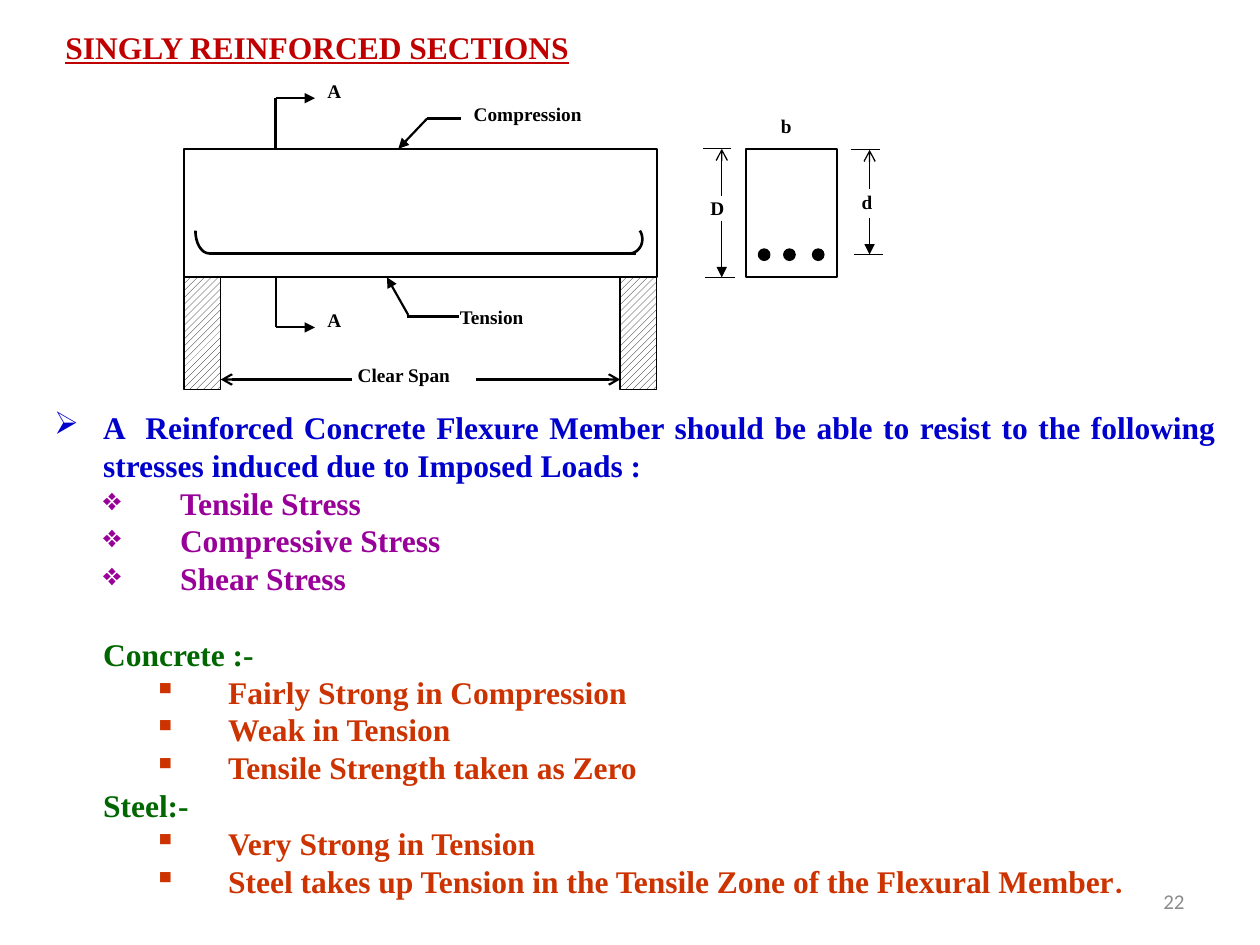
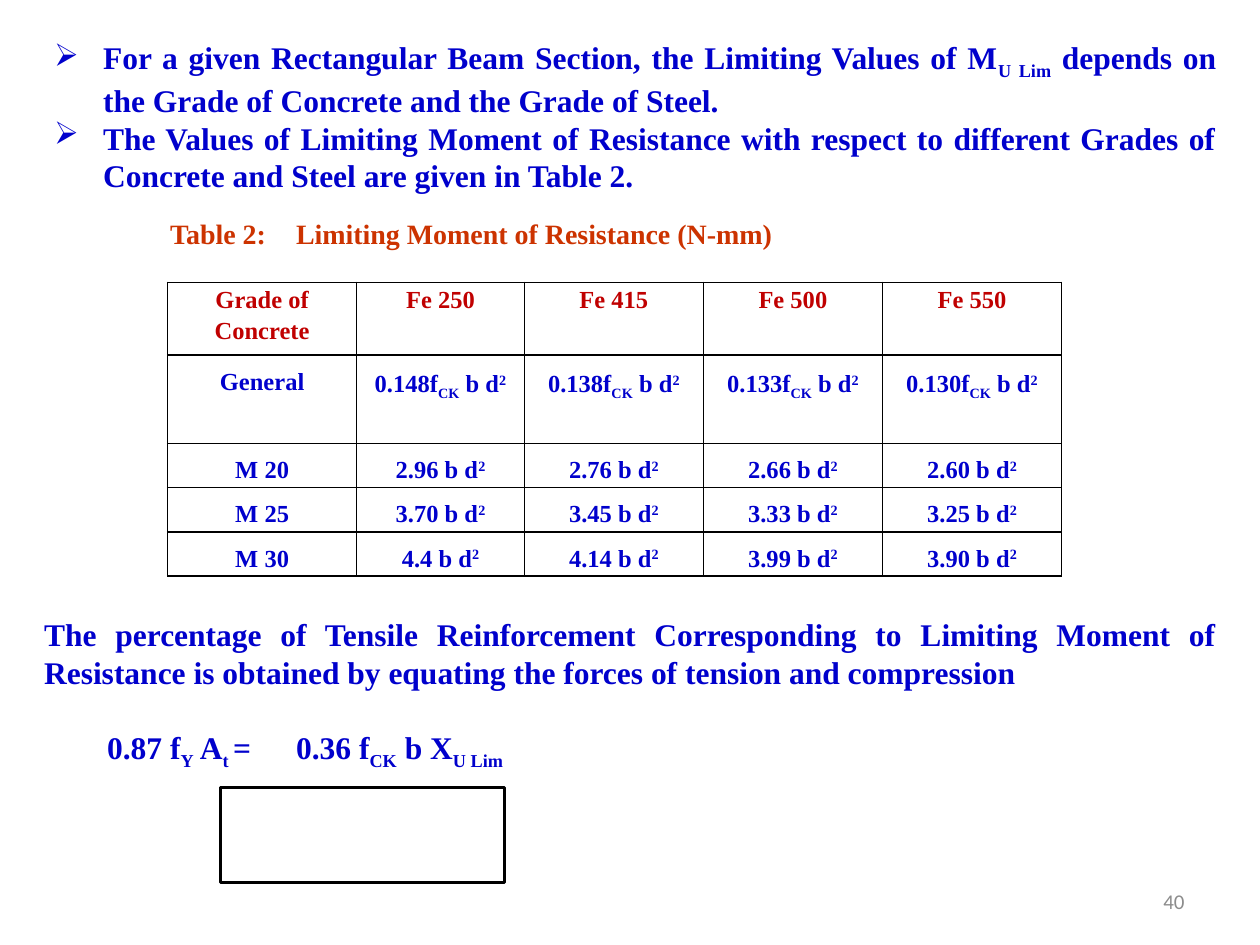
import pptx
import pptx.dml.color
import pptx.enum.dml
import pptx.enum.shapes
import pptx.enum.text
import pptx.oxml.ns
import pptx.util
from lxml import etree

Cm = pptx.util.Cm
Pt = pptx.util.Pt
qn = pptx.oxml.ns.qn
ink = pptx.dml.color.RGBColor.from_string
Align = pptx.enum.text.PP_ALIGN
Anchor = pptx.enum.text.MSO_ANCHOR
Shape = pptx.enum.shapes.MSO_SHAPE
SERIF = "Times New Roman"
BLACK, WHITE, GREY = "000000", "FFFFFF", "8C8C8C"
BLUE, RED, PURPLE, GREEN, RUST = "0000CC", "C00000", "990099", "006600", "CC3300"
BASELINES = {"_": "-25000", "^": "30000"}
BLANK_LINE = 21.6


def write(frame, text, size=18, color=BLUE, bold=True, underline=False, font=SERIF,
          align=Align.JUSTIFY, left=0, first=0, bullet=None, line=None,
          before=None, after=None, tabs=()):
    paragraph = frame.paragraphs[0]
    if paragraph.runs:
        paragraph = frame.add_paragraph()
    paragraph.alignment = align
    paragraph.line_spacing = line
    if before:
        paragraph.space_before = Pt(before)
    if after:
        paragraph.space_after = Pt(after)
    layout = paragraph._p.get_or_add_pPr()
    layout.set("marL", str(Cm(left)))
    layout.set("indent", str(Cm(first)))
    if bullet:
        tint = etree.SubElement(layout, qn("a:buClr"))
        etree.SubElement(tint, qn("a:srgbClr"), val=color)
        etree.SubElement(layout, qn("a:buChar"), char=bullet)
    if tabs:
        stops = etree.SubElement(layout, qn("a:tabLst"))
        for stop in tabs:
            etree.SubElement(stops, qn("a:tab"), pos=str(Cm(stop)), algn="l")
    for piece in text.split("|"):
        run = paragraph.add_run()
        run.text = piece.lstrip("_^")
        run.font.name, run.font.size = font, Pt(size)
        run.font.bold, run.font.underline = bold, underline
        run.font.color.rgb = ink(color)
        if piece[0] in BASELINES:
            run._r.get_or_add_rPr().set("baseline", BASELINES[piece[0]])
    return paragraph


def text_area(slide, x, y, width, height, anchor=Anchor.TOP):
    frame = slide.shapes.add_textbox(Cm(x), Cm(y), Cm(width), Cm(height)).text_frame
    frame.word_wrap = True
    frame.vertical_anchor = anchor
    return frame


deck = pptx.Presentation()
deck.slide_width, deck.slide_height = Cm(25.4), Cm(19.05)
sections_slide, moment_slide = [deck.slides.add_slide(deck.slide_layouts[6]) for _ in range(2)]

heading = text_area(sections_slide, 1.07, 0.43, 11.43, 1.02, Anchor.MIDDLE)
write(heading, "SINGLY REINFORCED SECTIONS", color=RED, underline=True, align=Align.LEFT)

beam_left, beam_top, beam_bottom = 3.71, 3, 5.59
beam_depth = beam_bottom - beam_top
right_support, support_width = 12.5, 0.74
bar_level, bar_size = 5.11, 0.23

members = [
    (Shape.RECTANGLE, beam_left, beam_top, 9.53, beam_depth, WHITE, 1.25),
    (Shape.RECTANGLE, beam_left, beam_bottom, support_width, 2.26, None, 0.75),
    (Shape.RECTANGLE, right_support, beam_bottom, support_width, 2.26, None, 0.75),
    (Shape.RECTANGLE, 15.04, beam_top, 1.83, beam_depth, WHITE, 1.25),
]
members += [(Shape.OVAL, x, 5.02, bar_size, bar_size, BLACK, 0.75) for x in (15.29, 15.8, 16.38)]
for preset, x, y, width, height, fill, weight in members:
    member = sections_slide.shapes.add_shape(preset, Cm(x), Cm(y), Cm(width), Cm(height))
    member.shadow.inherit = False
    member.line.color.rgb = ink(BLACK)
    member.line.width = Pt(weight)
    if fill:
        member.fill.solid()
        member.fill.fore_color.rgb = ink(fill)
    else:
        member.fill.patterned()
        member.fill.pattern = pptx.enum.dml.MSO_PATTERN.WIDE_UPWARD_DIAGONAL
        member.fill.fore_color.rgb = ink(BLACK)
        member.fill.back_color.rgb = ink(WHITE)

cut, cut_top, cut_bottom, cut_end = 5.56, 1.98, 6.6, 6.35
span_level, depth_x, effective_x = 7.65, 14.55, 17.53
lines = [
    (cut, cut_top, cut, beam_top, 1.5, None),
    (cut, beam_bottom, cut, cut_bottom, 1.25, None),
    (cut, cut_top, cut_end, cut_top, 1.25, "triangle"),
    (cut, cut_bottom, cut_end, cut_bottom, 1.25, "triangle"),
    (4.22, bar_level, 12.83, bar_level, 1.5, None),
    (8.61, 2.39, 8.03, beam_top, 1.25, "triangle"),
    (8.61, 2.39, 9.3, 2.39, 1.25, None),
    (8.23, 6.35, 7.8, beam_bottom, 1.25, "triangle"),
    (8.2, 6.38, 9.25, 6.38, 1.25, None),
    (9.6, span_level, right_support, span_level, 1.25, "arrow"),
    (7.09, span_level, beam_left + support_width, span_level, 1.25, "arrow"),
    (14.17, beam_top, 14.73, beam_top, 0.75, None),
    (14.22, beam_bottom, 14.81, beam_bottom, 0.75, None),
    (depth_x, 3.96, depth_x, beam_top, 0.75, "arrow"),
    (depth_x, 4.45, depth_x, beam_bottom, 0.75, "triangle"),
    (17.15, 3.02, 17.73, 3.02, 0.75, None),
    (17.22, 5.13, 17.81, 5.13, 0.75, None),
    (effective_x, 3.81, effective_x, 3.02, 0.75, "arrow"),
    (effective_x, 4.39, effective_x, 5.13, 0.75, "triangle"),
]
for x1, y1, x2, y2, weight, tip in lines:
    stroke = sections_slide.shapes.add_connector(
        pptx.enum.shapes.MSO_CONNECTOR.STRAIGHT, Cm(x1), Cm(y1), Cm(x2), Cm(y2))
    stroke.line.color.rgb = ink(BLACK)
    stroke.line.width = Pt(weight)
    if tip:
        etree.SubElement(stroke.line._get_or_add_ln(), qn("a:tailEnd"), type=tip)
    etree.SubElement(stroke._element.spPr, qn("a:effectLst"))

hooks = [
    [((4.22, bar_level), (4.06, bar_level), (3.94, 4.9), (3.94, 4.65))],
    [((12.7, bar_level), (12.83, bar_level), (12.95, 4.98), (12.95, 4.83)),
     ((12.95, 4.83), (12.95, 4.75), (12.93, 4.7), (12.9, 4.65))],
]
for curves in hooks:
    start_x, start_y = curves[0][0]
    bend = sections_slide.shapes.build_freeform(Cm(start_x), Cm(start_y))
    for curve in curves:
        points = []
        for step in range(1, 9):
            t = step / 8
            weights = ((1 - t) ** 3, 3 * t * (1 - t) ** 2, 3 * t * t * (1 - t), t ** 3)
            points.append([Cm(sum(w * p[axis] for w, p in zip(weights, curve))) for axis in (0, 1)])
        bend.add_line_segments(points, close=False)
    hook = bend.convert_to_shape()
    hook.shadow.inherit = False
    hook.fill.background()
    hook.line.color.rgb = ink(BLACK)
    hook.line.width = Pt(1.5)

for label, x, y, width in [
    ("A", 6.35, 1.47, 0.81), ("A", 6.35, 6.1, 0.81),
    ("Tension", 9.02, 6.02, 2.24), ("Compression", 9.3, 1.93, 2.87),
    ("Clear Span", 6.96, 7.19, 2.87),
    ("b", 15.49, 2.18, 0.86), ("D", 14.07, 3.84, 0.86), ("d", 17.12, 3.71, 0.86),
]:
    write(text_area(sections_slide, x, y, width, 0.86), label,
          size=11, color=BLACK, align=Align.LEFT, after=10)

arrow_point = dict(left=0.99, first=-0.99, bullet="➢")
stress_point = dict(color=PURPLE, left=2.54, first=-1.55, bullet="❖")
material = dict(color=GREEN, left=0.99)
property_point = dict(color=RUST, left=3.51, first=-1.5, bullet="▪")

stresses = text_area(sections_slide, 0.84, 8.05, 23.93, 10.26, Anchor.MIDDLE)
write(stresses, "A  Reinforced Concrete Flexure Member should be able to resist to the "
      "following stresses induced due to Imposed Loads :", **arrow_point)
for stress in ("Tensile Stress", "Compressive Stress", "Shear Stress"):
    write(stresses, stress, **stress_point)
write(stresses, "Concrete :-", before=BLANK_LINE, **material)
for trait in ("Fairly Strong in Compression", "Weak in Tension", "Tensile Strength taken as Zero"):
    write(stresses, trait, **property_point)
write(stresses, "Steel:-", **material)
write(stresses, "Very Strong in Tension", **property_point)
closing = write(stresses, "Steel takes up Tension in the Tensile Zone of the Flexural Member|.",
                **property_point)
closing.runs[-1].font.name = "Calibri"

limits = text_area(moment_slide, 0.84, 0.64, 23.93, 3.33)
write(limits, "For a given Rectangular Beam Section, the Limiting Values of M|_U Lim| depends on "
      "the Grade of Concrete and the Grade of Steel.", **arrow_point)
write(limits, "The Values of Limiting Moment of Resistance with respect to different Grades of "
      "Concrete and Steel are given in Table 2.", **arrow_point)

caption = text_area(moment_slide, 3.18, 4.24, 12.7, 0.94, Anchor.MIDDLE)
write(caption, "Table 2:\tLimiting Moment of Resistance (N-mm)", size=16, color=RUST, tabs=[2.54])

moments = [["Grade of Concrete", "Fe 250", "Fe 415", "Fe 500", "Fe 550"]]
for grade, unit, factors in [
    ("General", "f|_CK| b d|^2", ("0.148", "0.138", "0.133", "0.130")),
    ("M 20", " b d|^2", ("2.96", "2.76", "2.66", "2.60")),
    ("M 25", " b d|^2", ("3.70", "3.45", "3.33", "3.25")),
    ("M 30", " b d|^2", ("4.4", "4.14", "3.99", "3.90")),
]:
    moments.append([grade] + [factor + unit for factor in factors])
column_widths = [3.81, 3.38, 3.61, 3.61, 3.61]
row_heights = [1.47, 1.78, 0.89, 0.89, 0.89]
resistance = moment_slide.shapes.add_table(
    5, 5, Cm(3.38), Cm(5.69), Cm(sum(column_widths)), Cm(sum(row_heights))).table
resistance.first_row = resistance.horz_banding = False
for column, width in zip(resistance.columns, column_widths):
    column.width = Cm(width)
for row_index, (row, height) in enumerate(zip(resistance.rows, row_heights)):
    row.height = Cm(height)
    header = row_index == 0
    for cell, value in zip(row.cells, moments[row_index]):
        cell.margin_left = cell.margin_right = Cm(0.18)
        cell.margin_top = cell.margin_bottom = 0
        write(cell.text_frame, value, size=14, color=RED if header else BLUE,
              align=Align.CENTER, line=1.15 if header else 1.5)
        edges = cell._tc.get_or_add_tcPr()
        for side in ("a:lnL", "a:lnR", "a:lnT", "a:lnB"):
            edge = etree.SubElement(edges, qn(side), w=str(Pt(1)))
            paint = etree.SubElement(edge, qn("a:solidFill"))
            etree.SubElement(paint, qn("a:srgbClr"), val=BLACK)
        cell.fill.background()

balance = text_area(moment_slide, 0.64, 12.27, 24.13, 5.64)
write(balance, "The percentage of Tensile Reinforcement Corresponding to Limiting Moment of "
      "Resistance is obtained by equating the forces of tension and compression")
write(balance, "\t0.87 f|_Y| A|_t|\t=\t0.36 f|_CK| b X|_U Lim",
      before=BLANK_LINE, tabs=[2.49, 5.99, 7.21])

result_frame = moment_slide.shapes.add_shape(
    Shape.RECTANGLE, Cm(4.45), Cm(15.88), Cm(5.72), Cm(1.91))
result_frame.shadow.inherit = False
result_frame.fill.background()
result_frame.line.color.rgb = ink(BLACK)
result_frame.line.width = Pt(1.5)

for slide, number in ((sections_slide, "22"), (moment_slide, "40")):
    write(text_area(slide, 18.21, 17.65, 5.92, 1.02, Anchor.MIDDLE), number,
          size=12, color=GREY, bold=False, font="Calibri", align=Align.RIGHT)

deck.save("out.pptx")
